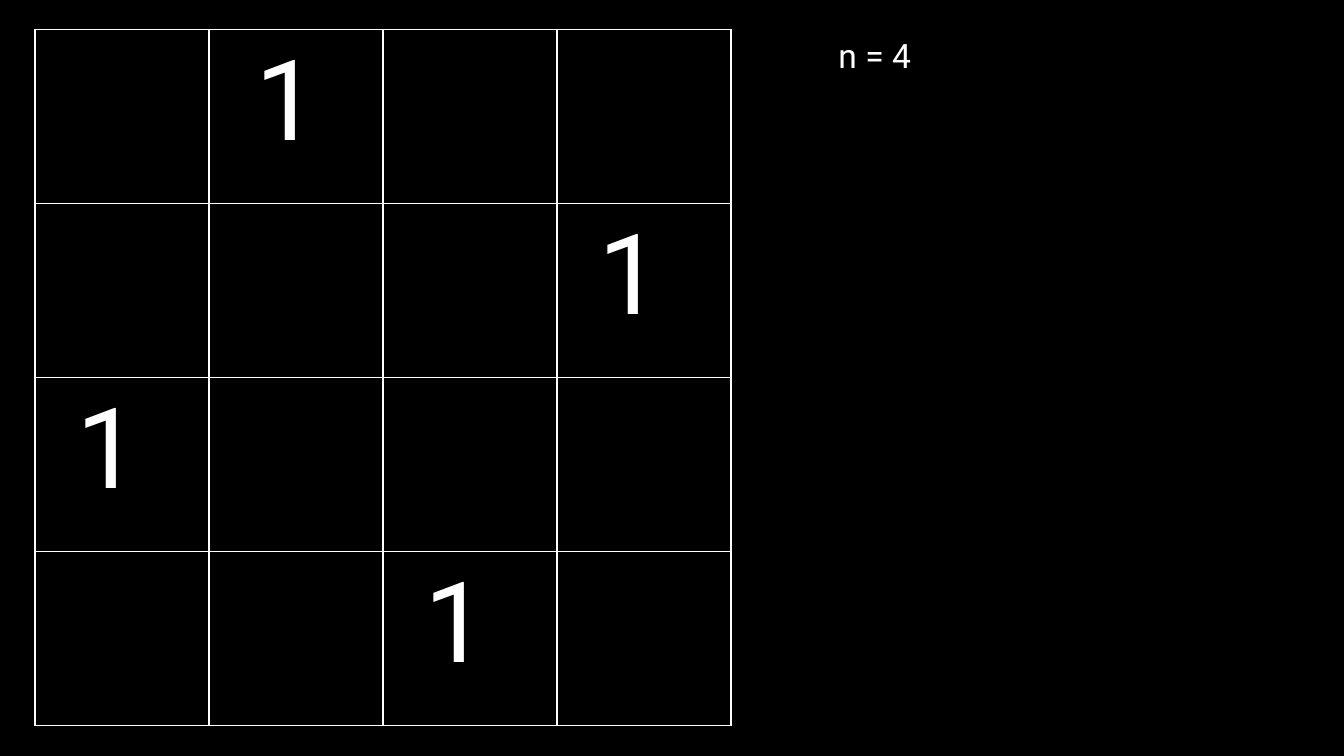
from lxml.etree import SubElement
from pptx import Presentation
from pptx.dml.color import RGBColor
from pptx.enum.text import MSO_AUTO_SIZE
from pptx.oxml.ns import qn
from pptx.util import Inches, Pt

BLACK = RGBColor(0x00, 0x00, 0x00)
WHITE = RGBColor(0xFF, 0xFF, 0xFF)
FONT = "Roboto"
SIZE = 4
# (row, column) of each 1, with its left indent inside the cell
ONES = {(0, 1): 0.35, (1, 3): 0.31, (2, 0): 0.31, (3, 2): 0.31}


def write(para, text, size):
    """Put white text into a paragraph."""
    para.text = text
    para.font.name = FONT
    para.font.size = Pt(size)
    para.font.color.rgb = WHITE


def draw_borders(cell):
    """Outline a table cell with thin white lines."""
    properties = cell._tc.get_or_add_tcPr()
    for side in ("a:lnL", "a:lnR", "a:lnT", "a:lnB"):
        line = SubElement(properties, qn(side), w=str(Pt(1)))
        fill = SubElement(line, qn("a:solidFill"))
        SubElement(fill, qn("a:srgbClr"), val=str(WHITE))


def add_board(page, left, top, side):
    """Draw the square matrix and its ones."""
    table = page.shapes.add_table(
        SIZE, SIZE, Inches(left), Inches(top), Inches(side), Inches(side)
    ).table
    table.first_row = False
    table.horz_banding = False
    for row in range(SIZE):
        for column in range(SIZE):
            cell = table.cell(row, column)
            draw_borders(cell)
            cell.fill.background()
            if (row, column) in ONES:
                cell.margin_left = Inches(ONES[row, column])
                write(cell.text_frame.paragraphs[0], "1", 60)


def add_caption(page, left, top, width, height):
    """Write the matrix size beside the board."""
    box = page.shapes.add_textbox(
        Inches(left), Inches(top), Inches(width), Inches(height)
    )
    frame = box.text_frame
    frame.word_wrap = False
    frame.auto_size = MSO_AUTO_SIZE.SHAPE_TO_FIT_TEXT
    write(frame.paragraphs[0], f"n = {SIZE}", 18)


def build_deck():
    """Create the one-page widescreen deck."""
    deck = Presentation()
    deck.slide_width = Inches(10)
    deck.slide_height = deck.slide_width * 9 // 16
    page = deck.slides.add_slide(deck.slide_layouts[6])
    page.background.fill.solid()
    page.background.fill.fore_color.rgb = BLACK
    add_board(page, 0.26, 0.22, 5.18)
    add_caption(page, 6.14, 0.21, 0.76, 0.4)
    return deck


build_deck().save("out.pptx")
